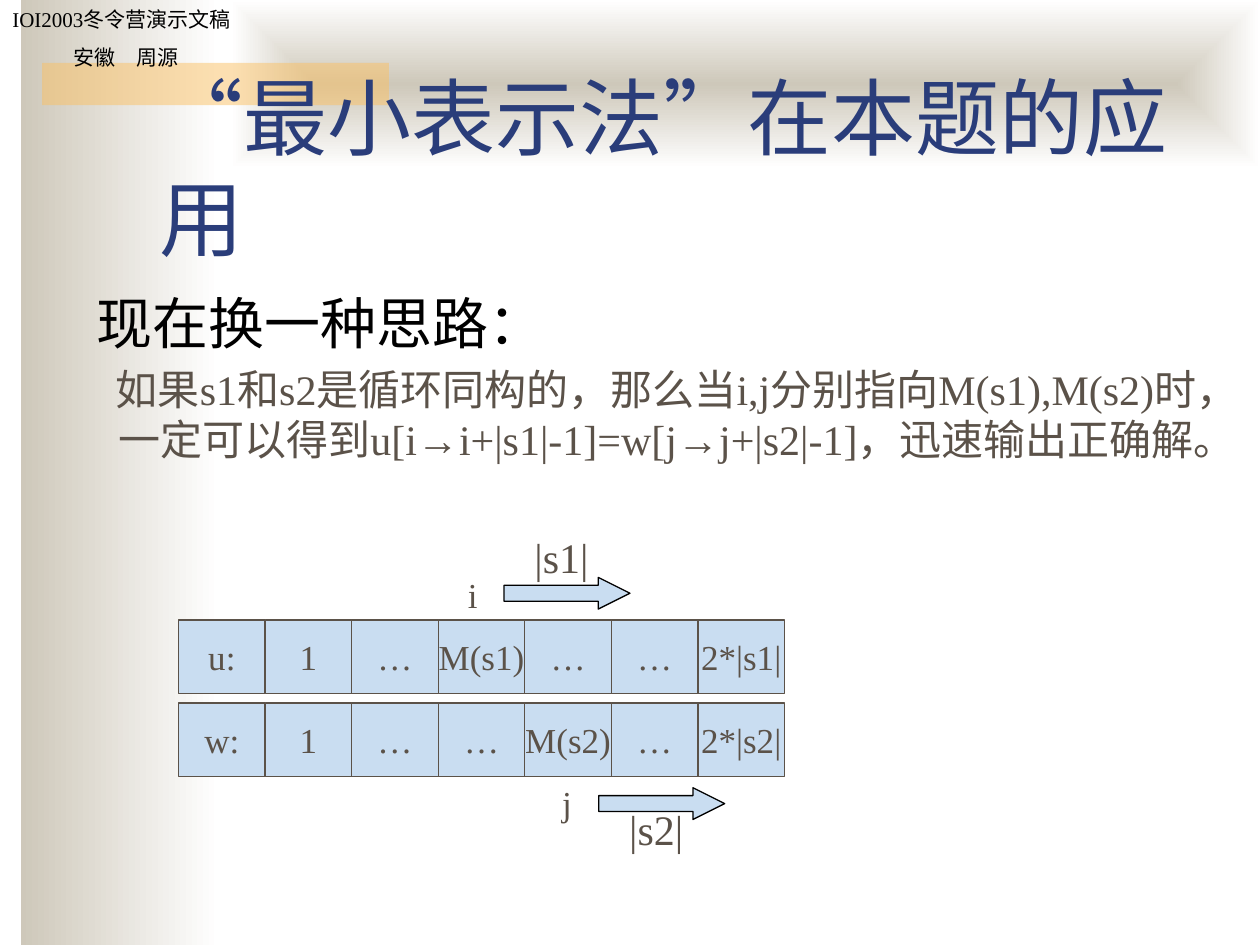
from dataclasses import dataclass

from lxml.etree import SubElement
from pptx import Presentation
from pptx.dml.color import RGBColor
from pptx.enum.lang import MSO_LANGUAGE_ID
from pptx.enum.shapes import MSO_SHAPE
from pptx.enum.text import MSO_ANCHOR, PP_ALIGN
from pptx.oxml.ns import qn
from pptx.util import Cm, Pt


@dataclass(frozen=True)
class Theme:
    font: str = "Times New Roman"
    black: str = "000000"
    title: str = "2A3D7A"
    brown: str = "5B5249"
    cell: str = "C9DDF1"
    sand: str = "CEC8BA"
    white: str = "FFFFFF"
    accent: str = "FAC164"
    header_size: int = 12
    title_size: int = 48
    lead_size: int = 32
    body_size: int = 24
    cell_size: int = 20
    line_width: float = 0.75


@dataclass(frozen=True)
class Box:
    left: float
    top: float
    width: float
    height: float

    def lengths(self):
        return Cm(self.left), Cm(self.top), Cm(self.width), Cm(self.height)


@dataclass(frozen=True)
class Label:
    box: Box
    text: str
    size: int
    color: str
    align: PP_ALIGN = PP_ALIGN.CENTER
    anchor: MSO_ANCHOR = MSO_ANCHOR.TOP
    line_spacing: float = 1.0


@dataclass(frozen=True)
class ArrayRow:
    top: float
    cells: tuple[str, ...]


THEME = Theme()
CELL_LEFT, CELL_WIDTH, CELL_HEIGHT = 3.6, 1.745, 1.48

ROWS = (
    ArrayRow(12.5, ("u:", "1", "…", "M(s1)", "…", "…", "2*|s1|")),
    ArrayRow(14.17, ("w:", "1", "…", "…", "M(s2)", "…", "2*|s2|")),
)
ARROWS = (Box(10.16, 11.64, 2.54, 0.64), Box(12.07, 15.88, 2.54, 0.64))
LABELS = (
    Label(Box(2.96, 2.33, 21.6, 3.18), "“最小表示法”在本题的应用",
          THEME.title_size, THEME.title, PP_ALIGN.LEFT, MSO_ANCHOR.BOTTOM),
    Label(Box(1.69, 5.84, 13.55, 1.58), "现在换一种思路：",
          THEME.lead_size, THEME.black, PP_ALIGN.JUSTIFY, line_spacing=0.9),
    Label(Box(1.9, 7.2, 22.65, 3.3),
          "如果s1和s2是循环同构的，那么当i,j分别指向M(s1),M(s2)时，"
          "一定可以得到u[i→i+|s1|-1]=w[j→j+|s2|-1]，迅速输出正确解。",
          THEME.body_size, THEME.brown),
    Label(Box(8.68, 11.43, 1.7, 1.1), "i", THEME.cell_size, THEME.brown),
    Label(Box(10.58, 15.63, 1.7, 1.1), "j", THEME.cell_size, THEME.brown),
    Label(Box(10.37, 10.58, 1.9, 1.27), "|s1|", THEME.body_size, THEME.brown),
    Label(Box(12.28, 16.08, 1.9, 1.27), "|s2|", THEME.body_size, THEME.brown),
)


def add_run(paragraph, text: str, size: int, color: str) -> None:
    run = paragraph.add_run()
    run.text = text
    run.font.name = THEME.font
    run.font.size = Pt(size)
    run.font.color.rgb = RGBColor.from_string(color)
    run.font.language_id = MSO_LANGUAGE_ID.SIMPLIFIED_CHINESE


def add_plain_shape(slide, kind: MSO_SHAPE, box: Box):
    shape = slide.shapes.add_shape(kind, *box.lengths())
    shape.shadow.inherit = False
    shape.line.fill.background()
    return shape


def add_gradient_band(slide, box: Box, from_center: bool) -> None:
    fill = add_plain_shape(slide, MSO_SHAPE.RECTANGLE, box).fill
    fill.gradient()
    fill.gradient_angle = 0
    for stop, color in zip(fill.gradient_stops, (THEME.sand, THEME.white)):
        stop.color.rgb = RGBColor.from_string(color)
    if from_center:
        shape = slide.shapes[-1]
        gradient = shape.element.spPr.find(qn("a:gradFill"))
        gradient.remove(gradient.find(qn("a:lin")))
        center = SubElement(gradient, qn("a:path"), path="rect")
        sides = dict.fromkeys("ltrb", "50000")
        SubElement(center, qn("a:fillToRect"), **sides)


def add_accent_bar(slide, box: Box) -> None:
    shape = add_plain_shape(slide, MSO_SHAPE.RECTANGLE, box)
    shape.fill.solid()
    shape.fill.fore_color.rgb = RGBColor.from_string(THEME.accent)
    color = shape.element.spPr.find(qn("a:solidFill"))[0]
    SubElement(color, qn("a:alpha"), val="50000")


def add_outlined_shape(slide, kind: MSO_SHAPE, box: Box, line_color: str):
    shape = add_plain_shape(slide, kind, box)
    shape.fill.solid()
    shape.fill.fore_color.rgb = RGBColor.from_string(THEME.cell)
    shape.line.color.rgb = RGBColor.from_string(line_color)
    shape.line.width = Pt(THEME.line_width)
    return shape


def add_array_row(slide, row: ArrayRow) -> None:
    for index, text in enumerate(row.cells):
        box = Box(CELL_LEFT + index * CELL_WIDTH, row.top, CELL_WIDTH, CELL_HEIGHT)
        shape = add_outlined_shape(slide, MSO_SHAPE.RECTANGLE, box, THEME.brown)
        frame = shape.text_frame
        frame.word_wrap = False
        frame.vertical_anchor = MSO_ANCHOR.MIDDLE
        paragraph = frame.paragraphs[0]
        paragraph.alignment = PP_ALIGN.CENTER
        add_run(paragraph, text, THEME.cell_size, THEME.brown)


def add_arrow(slide, box: Box) -> None:
    shape = add_outlined_shape(slide, MSO_SHAPE.RIGHT_ARROW, box, THEME.black)
    shape.adjustments[0] = 0.5
    shape.adjustments[1] = 1.0


def add_label(slide, label: Label):
    frame = slide.shapes.add_textbox(*label.box.lengths()).text_frame
    frame.word_wrap = True
    frame.vertical_anchor = label.anchor
    paragraph = frame.paragraphs[0]
    paragraph.alignment = label.align
    paragraph.line_spacing = label.line_spacing
    add_run(paragraph, label.text, label.size, label.color)
    return frame


def add_header(slide) -> None:
    frame = add_label(slide, Label(Box(0, 0, 5.08, 1.55), "IOI2003冬令营演示文稿",
                                   THEME.header_size, THEME.black, PP_ALIGN.LEFT))
    paragraph = frame.add_paragraph()
    paragraph.alignment = PP_ALIGN.CENTER
    paragraph.space_before = Pt(7.5)
    add_run(paragraph, "安徽　周源", THEME.header_size, THEME.black)


def main() -> None:
    presentation = Presentation()
    presentation.slide_width, presentation.slide_height = Cm(25.4), Cm(19.05)
    slide = presentation.slides.add_slide(presentation.slide_layouts[6])
    add_gradient_band(slide, Box(0.42, 0, 4.02, 19.05), from_center=False)
    add_gradient_band(slide, Box(4.66, 0, 20.74, 3.39), from_center=True)
    add_accent_bar(slide, Box(0.85, 1.27, 6.99, 0.85))
    add_header(slide)
    for row in ROWS:
        add_array_row(slide, row)
    for arrow in ARROWS:
        add_arrow(slide, arrow)
    for label in LABELS:
        add_label(slide, label)
    presentation.save("out.pptx")


if __name__ == "__main__":
    main()
